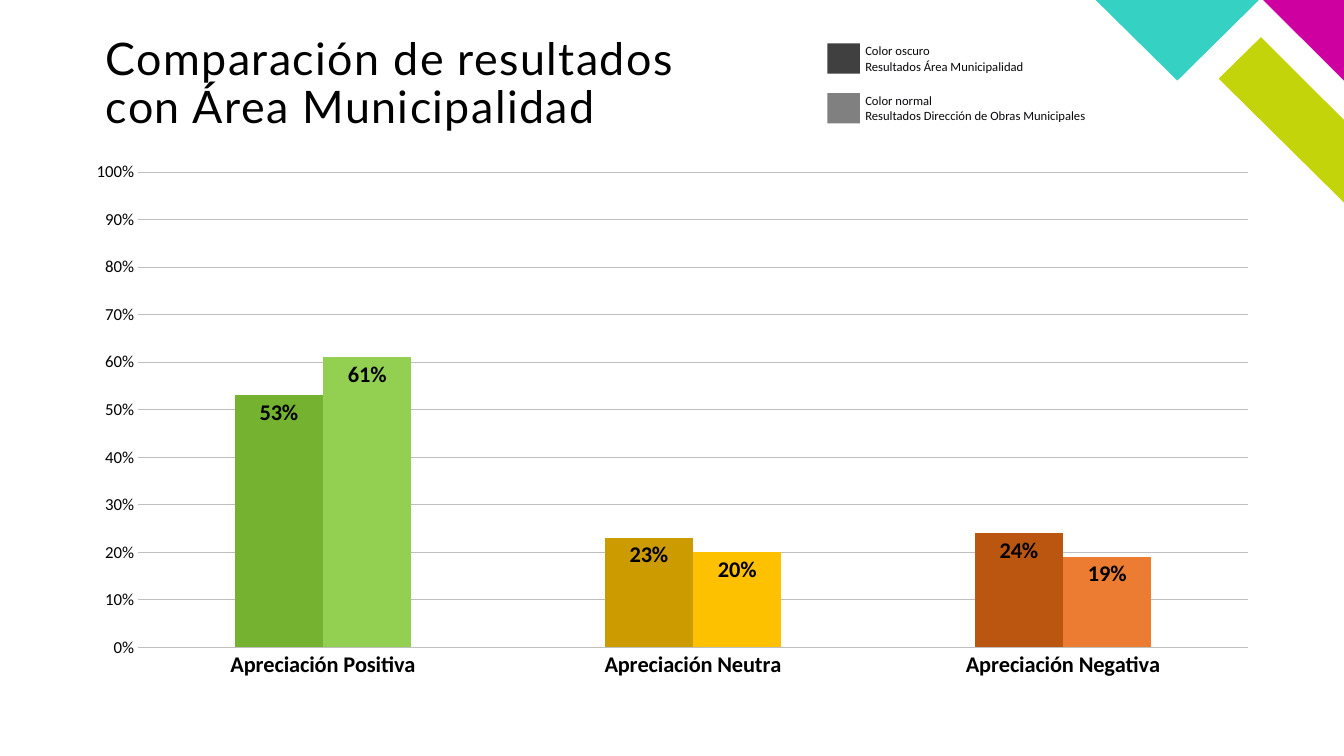
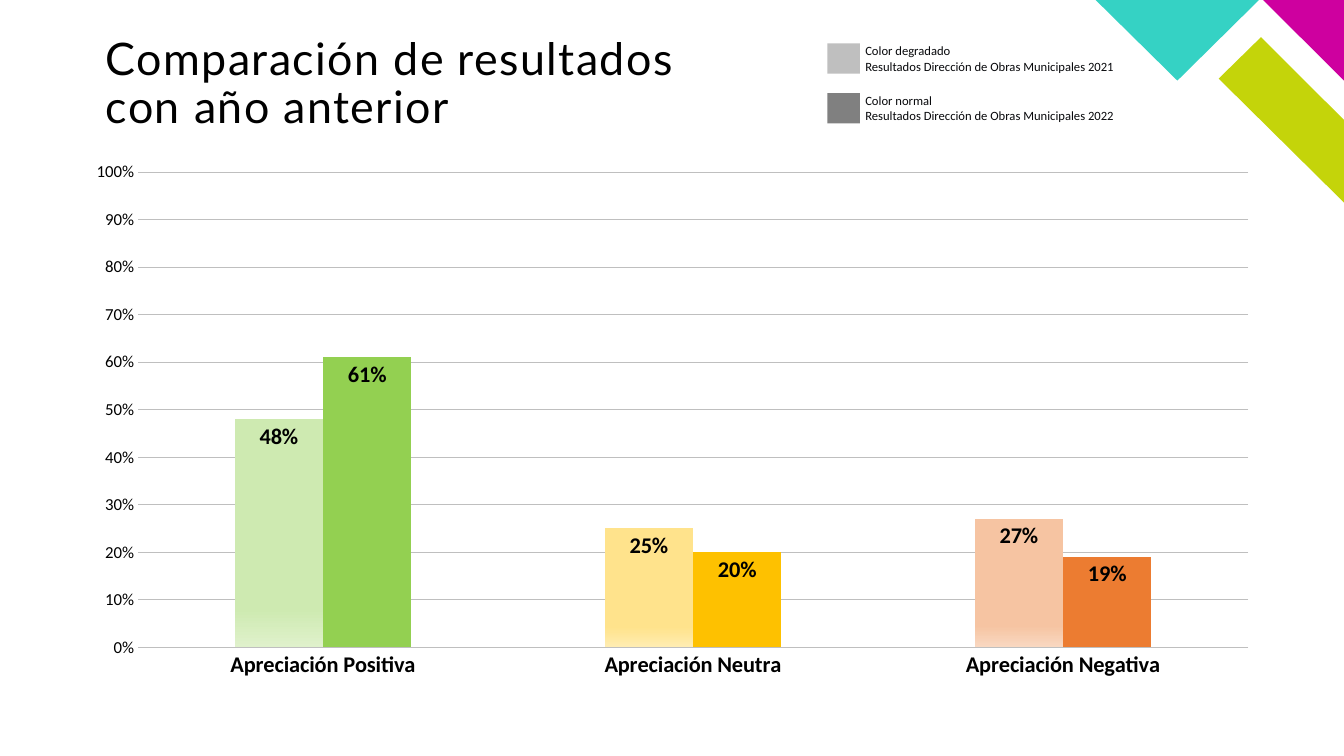
from pptx import Presentation
from pptx.chart.data import CategoryChartData
from pptx.dml.color import RGBColor
from pptx.enum.chart import XL_CHART_TYPE, XL_LABEL_POSITION, XL_TICK_MARK
from pptx.enum.shapes import MSO_SHAPE
from pptx.util import Pt

COLORS = {
    "black": "000000", "legend_text": "07080B", "grid": "BFBFBF",
    "teal": "35D2C4", "magenta": "CE009F", "lime": "C4D40A", "series_lime": "C3D600",
    "dark_gray": "404040", "gray": "808080", "light_gray": "BFBFBF",
    "green": "93D051", "yellow": "FEC100", "orange": "EC7C31",
    "dark_green": "74B230", "dark_yellow": "CC9B00", "dark_orange": "BB5611",
    "pale_green": "CEEAB1", "pale_yellow": "FFE38C", "pale_orange": "F6C4A2",
    "faded_green": "DFF1CB", "faded_yellow": "FFEDB2", "faded_orange": "F9D8C1",
}
TITLE_FONT, BODY_FONT = "Lato", "Calibri"
CORNER_SHAPES = [
    ("lime", [(960, 144.7), (960, 85.7), (900.7, 26.6), (870.5, 56.2)]),
    ("magenta", [(960, 57.6), (960, 0), (902.2, 0)]),
    ("teal", [(782.6, 0), (841, 57.6), (899.3, 0)]),
]
CATEGORIES = ["Apreciación Positiva", "Apreciación Neutra", "Apreciación Negativa"]
LEGEND_STEP = 35.5

# A bar fill is one colour name, or a pair for a gradient from top to bottom.
NORMAL_SERIES = ([0.61, 0.2, 0.19], ["green", "yellow", "orange"])
SLIDES = [
    {
        "title": "Comparación de resultados con Área Municipalidad",
        "legend": [
            ("dark_gray", "Color oscuro\nResultados Área Municipalidad"),
            ("gray", "Color normal\nResultados Dirección de Obras Municipales"),
        ],
        "compared": ([0.53, 0.23, 0.24], ["dark_green", "dark_yellow", "dark_orange"]),
    },
    {
        "title": "Comparación de resultados con año anterior",
        "legend": [
            ("light_gray", "Color degradado\nResultados Dirección de Obras Municipales 2021"),
            ("gray", "Color normal\nResultados Dirección de Obras Municipales 2022"),
        ],
        "compared": ([0.48, 0.25, 0.27], [("pale_green", "faded_green"),
                                          ("pale_yellow", "faded_yellow"),
                                          ("pale_orange", "faded_orange")]),
    },
]


def rgb(name):
    return RGBColor.from_string(COLORS[name])


def style_font(font, size, color="black", name=BODY_FONT, bold=False):
    font.size, font.name, font.bold = Pt(size), name, bold
    font.color.rgb = rgb(color)


def style_line(line, color, width):
    line.color.rgb = rgb(color)
    line.width = Pt(width)


def fill_plain(shape, color):
    """Give a shape a solid fill with no outline or shadow."""
    shape.fill.solid()
    shape.fill.fore_color.rgb = rgb(color)
    shape.line.fill.background()
    shape.shadow.inherit = False


def add_corner(slide):
    for color, points in CORNER_SHAPES:
        start, *others = [(Pt(x), Pt(y)) for x, y in points]
        builder = slide.shapes.build_freeform(*start)
        builder.add_line_segments(others, close=True)
        fill_plain(builder.convert_to_shape(), color)


def add_text(slide, text, left, top, width, height):
    box = slide.shapes.add_textbox(Pt(left), Pt(top), Pt(width), Pt(height))
    text_frame = box.text_frame
    text_frame.word_wrap = True
    text_frame.text = text
    return text_frame


def add_title(slide, text):
    text_frame = add_text(slide, text, 75.6, 25.9, 426.2, 82)
    text_frame.margin_left = text_frame.margin_right = 0
    text_frame.margin_top = text_frame.margin_bottom = 0
    paragraph = text_frame.paragraphs[0]
    paragraph.line_spacing = 0.9
    run = paragraph.runs[0]
    style_font(run.font, 32, name=TITLE_FONT)
    run.font._element.set("spc", "100")


def add_legend(slide, entries):
    for index, (color, text) in enumerate(entries):
        offset = index * LEGEND_STEP
        swatch = slide.shapes.add_shape(
            MSO_SHAPE.RECTANGLE, Pt(591), Pt(31 + offset), Pt(23.2), Pt(21.6))
        fill_plain(swatch, color)
        text_frame = add_text(slide, text, 611, 27.4 + offset, 230, 29)
        for paragraph in text_frame.paragraphs:
            style_font(paragraph.runs[0].font, 9, "legend_text")


def fill_bar(fill, colors):
    if isinstance(colors, str):
        fill.solid()
        fill.fore_color.rgb = rgb(colors)
        return
    fill.gradient()
    fill.gradient_angle = 270
    for stop, color, position in zip(fill.gradient_stops, colors, (0.83, 1)):
        stop.color.rgb = rgb(color)
        stop.position = position


def style_series(series, base_color, bar_colors):
    fill_bar(series.format.fill, base_color)
    series.invert_if_negative = False
    for index, colors in enumerate(bar_colors):
        fill_bar(series.points[index].format.fill, colors)
    labels = series.data_labels
    labels.show_value = True
    labels.position = XL_LABEL_POSITION.INSIDE_END
    labels.number_format, labels.number_format_is_linked = "0%", False
    style_font(labels.font, 16, bold=True)


def style_axes(chart):
    for axis in (chart.category_axis, chart.value_axis):
        axis.major_tick_mark = axis.minor_tick_mark = XL_TICK_MARK.NONE
    style_font(chart.category_axis.tick_labels.font, 16, bold=True)
    style_line(chart.category_axis.format.line, "grid", 0.75)

    value_axis = chart.value_axis
    value_axis.minimum_scale, value_axis.maximum_scale = 0, 1
    value_axis.major_unit = 0.1
    value_axis.format.line.fill.background()
    value_axis.has_major_gridlines = True
    style_line(value_axis.major_gridlines.format.line, "grid", 0.5)
    labels = value_axis.tick_labels
    labels.number_format, labels.number_format_is_linked = "0%", False
    style_font(labels.font, 12)


def add_comparison_chart(slide, compared):
    all_series = [compared, NORMAL_SERIES]
    data = CategoryChartData()
    data.categories = CATEGORIES
    for number, (values, _) in enumerate(all_series, 1):
        data.add_series(f"Series {number}", values)
    chart = slide.shapes.add_chart(
        XL_CHART_TYPE.COLUMN_CLUSTERED, Pt(51.8), Pt(108), Pt(856.8), Pt(384.5), data).chart
    chart.has_title = chart.has_legend = False
    style_font(chart.font, 10)
    style_axes(chart)
    plot = chart.plots[0]
    plot.gap_width, plot.overlap = 219, 0
    plot.vary_by_categories = False
    for series, color, (_, bar_colors) in zip(plot.series, ("teal", "series_lime"), all_series):
        style_series(series, color, bar_colors)


def main():
    presentation = Presentation()
    presentation.slide_width, presentation.slide_height = Pt(960), Pt(540)
    for content in SLIDES:
        slide = presentation.slides.add_slide(presentation.slide_layouts[6])
        add_corner(slide)
        add_title(slide, content["title"])
        add_comparison_chart(slide, content["compared"])
        add_legend(slide, content["legend"])
    presentation.save("out.pptx")


if __name__ == "__main__":
    main()
